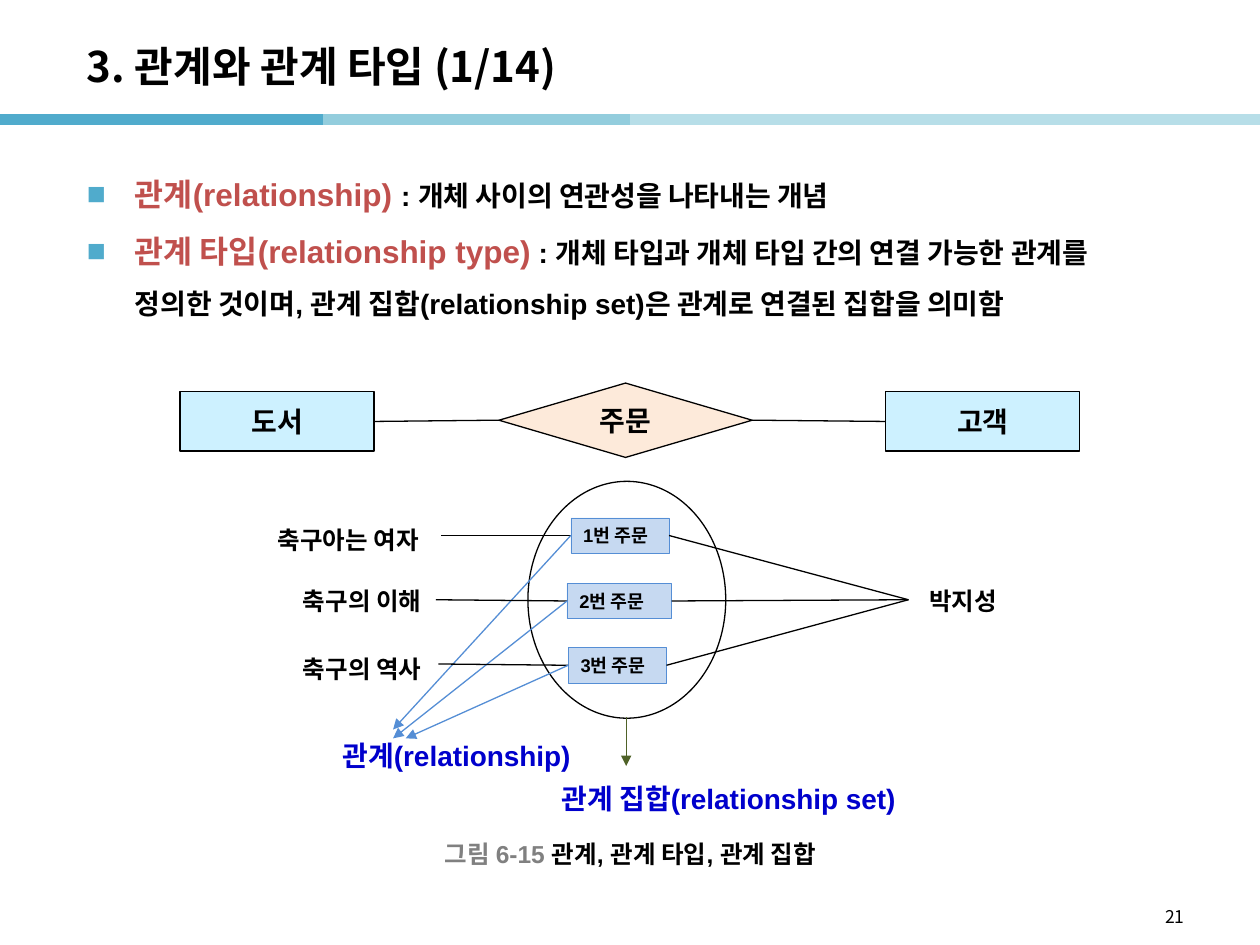
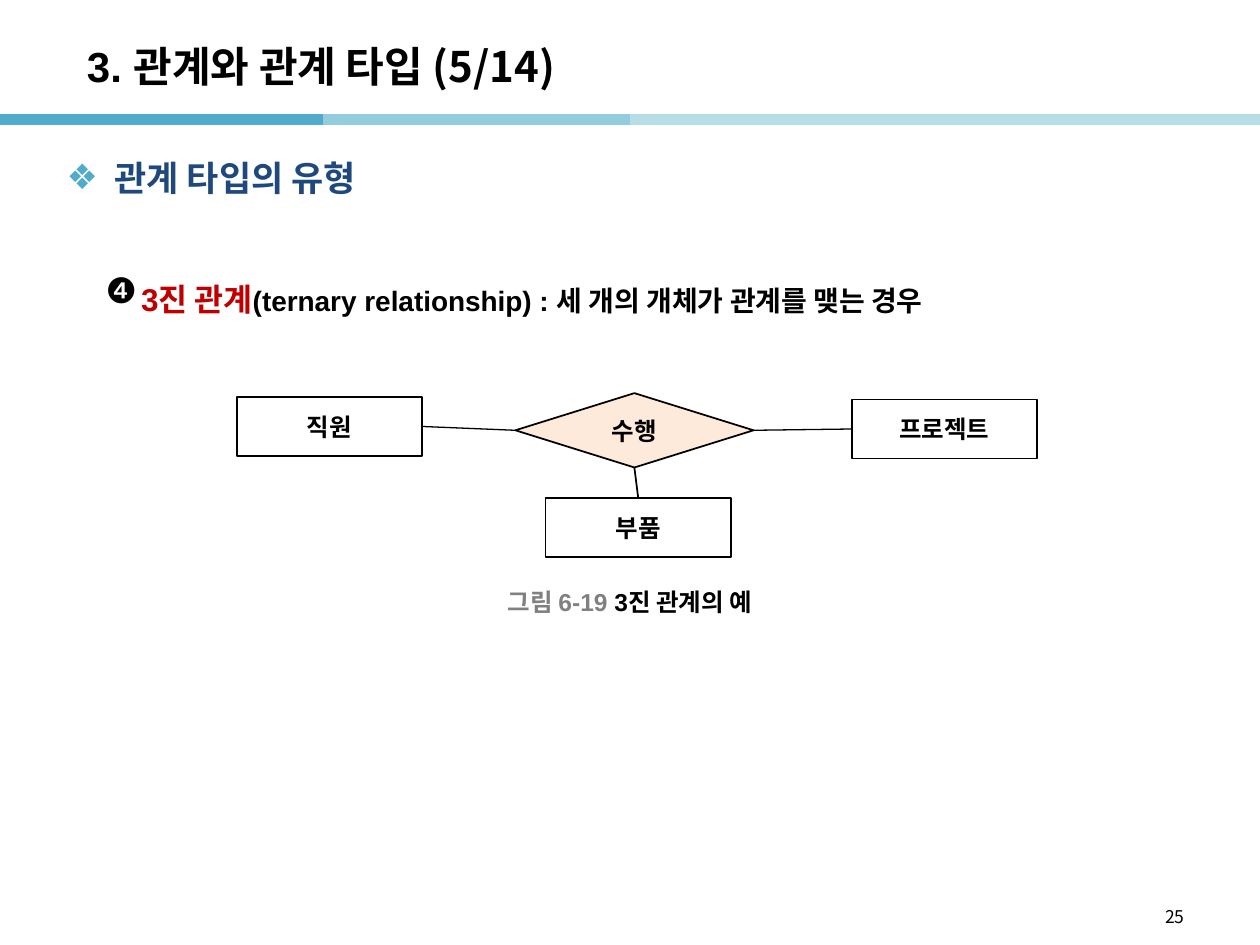
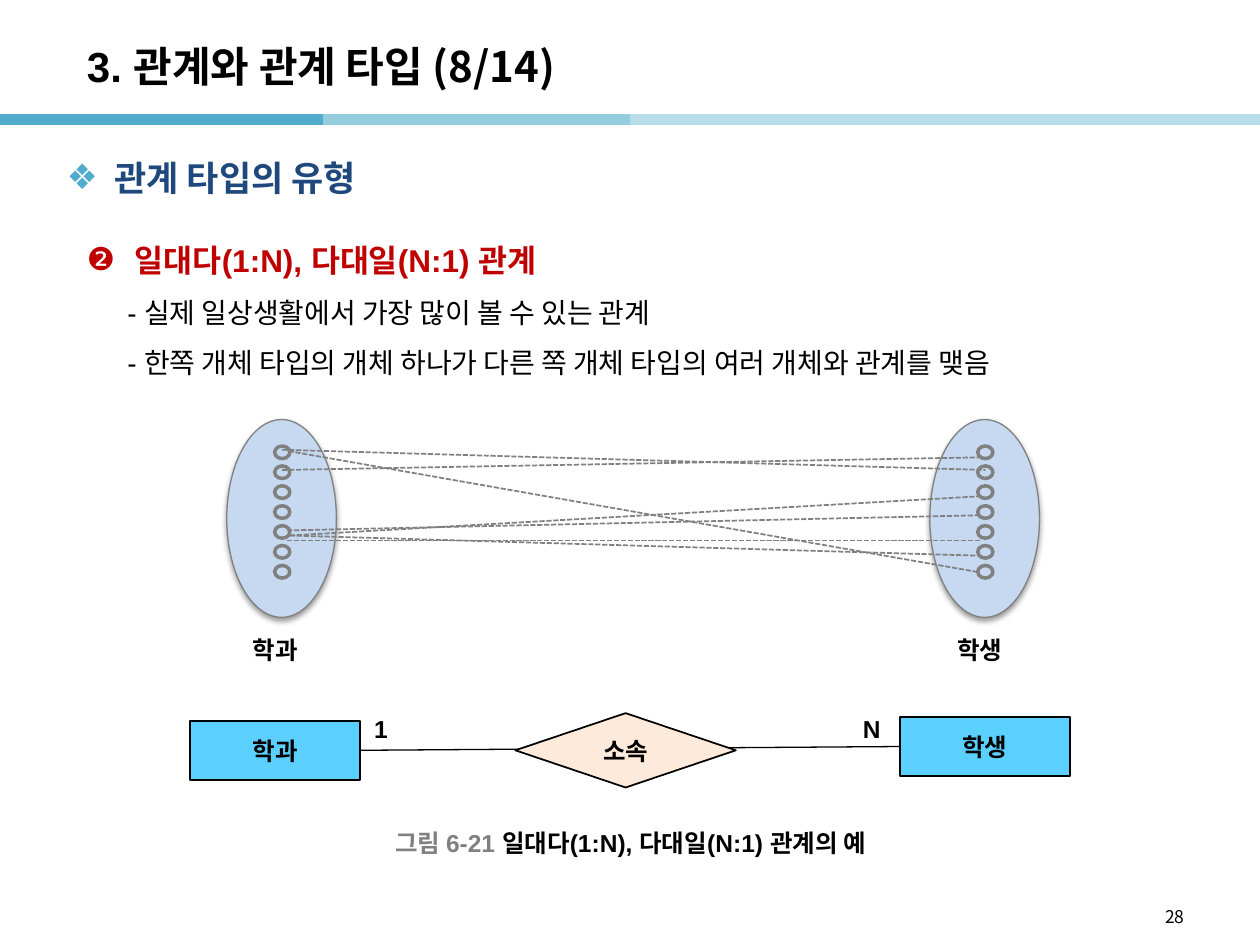
from lxml.etree import SubElement
from pptx import Presentation
from pptx.dml.color import RGBColor
from pptx.enum.dml import MSO_LINE
from pptx.enum.shapes import MSO_CONNECTOR, MSO_SHAPE
from pptx.enum.text import MSO_ANCHOR, MSO_AUTO_SIZE, PP_ALIGN
from pptx.oxml import parse_xml
from pptx.oxml.ns import nsdecls, qn
from pptx.util import Pt

COLORS = {
    "ink": "000000", "paper": "FFFFFF", "gray": "808080",
    "band_dark": "50ABCC", "band_mid": "93CDDD", "band_light": "B7DEE8",
    "term": "C0504D", "red": "C00000", "navy": "1F497D", "link": "0000CC",
    "relation": "FDEADA", "entity": "CDF1FF", "entity_deep": "5BD0FF",
    "set": "C6D9F1", "arrow": "558ED5", "olive": "4F6228",
}
BODY_FONT, TITLE_FONT = "Arial", "Noto Sans CJK KR"
COLUMNS, ROWS = 100, 75
TOP, LEFT, BOTTOM, RIGHT = range(4)
BANDS = [(0, 25.6, "band_dark"), (25.6, 51.2, "band_mid"),
         (50, 75.6, "band_light"), (74.4, 100, "band_light")]


def rgb(name):
    return RGBColor.from_string(COLORS[name])


def is_point(stop):
    return isinstance(stop[0], (int, float))


def set_font(font, name=None, size=None, color=None, bold=None):
    if name:
        font.name = name
    if size:
        font.size = Pt(size)
    if color:
        font.color.rgb = rgb(color)
    if bold is not None:
        font.bold = bold


class SlideBuilder:
    """Holds the deck, its style and the current page; lengths are grid cells."""

    def __init__(self):
        self.deck = Presentation()
        self.deck.slide_width, self.deck.slide_height = Pt(720), Pt(540)
        self.page = None

    def cells(self, *lengths):
        """Turn alternating columns and rows into slide lengths."""
        units = (self.deck.slide_width / COLUMNS, self.deck.slide_height / ROWS)
        return [round(length * units[i % 2]) for i, length in enumerate(lengths)]

    # Text
    def set_text(self, para, spans, name=BODY_FONT, size=14, color="ink", bold=True):
        """Each span is a string or a (string, font differences) pair."""
        set_font(para.font, name, size, color, bold)
        for item in [spans] if isinstance(spans, str) else spans:
            words, changes = (item, {}) if isinstance(item, str) else item
            span = para.add_run()
            span.text = words
            set_font(span.font, **changes)

    def frame(self, shape, wrap=False, anchor=MSO_ANCHOR.MIDDLE):
        frame = shape.text_frame
        frame.auto_size = MSO_AUTO_SIZE.NONE
        frame.word_wrap = wrap
        frame.vertical_anchor = anchor
        return frame

    def bullet(self, para, mark, color=None, margin=3.8, hanging=3.8):
        props = para._p.get_or_add_pPr()
        left, _, hang = self.cells(margin, 0, hanging)
        props.set("marL", str(left))
        props.set("indent", str(-hang))
        parts = []
        if color:
            parts.append(f'<a:buClr {nsdecls("a")}><a:srgbClr val="{COLORS[color]}"/></a:buClr>')
        if mark:
            parts.append(f'<a:buFont {nsdecls("a")} typeface="{BODY_FONT}"/>')
            parts.append(f'<a:buChar {nsdecls("a")} char="{mark}"/>')
        else:
            parts.append(f'<a:buNone {nsdecls("a")}/>')
        for part in parts:
            props.insert_element_before(parse_xml(part), "a:tabLst", "a:defRPr", "a:extLst")

    def place(self, shape, at):
        shape.left, shape.top, shape.width, shape.height = self.cells(*at)

    # Shared page parts
    def new_page(self, part, number, lead_font=BODY_FONT):
        self.page = self.deck.slides.add_slide(self.deck.slide_layouts[1])
        for start, end, color in BANDS:
            self.line((start, 9.5), (end, 9.5), color, 6)
        title = self.page.shapes.title
        self.place(title, (5.9, 2.2, 82.7, 6))
        para = self.frame(title, wrap=True).paragraphs[0]
        para.alignment = PP_ALIGN.LEFT
        heading = "3. 관계와 관계 타입"
        if lead_font != TITLE_FONT:
            spans = [(heading, {"name": lead_font}), f" ({part}/14)"]
        else:
            spans = f"{heading} ({part}/14)"
        self.set_text(para, spans, name=TITLE_FONT, size=24)
        self.label((71.7, 71.3, 23.3, 2.8), str(number), PP_ALIGN.RIGHT,
                   name=TITLE_FONT, size=10, bold=False)

    def body(self, at, rows):
        """Each row is (spans, bullet settings, font settings)."""
        holder = self.page.placeholders[1]
        self.place(holder, at)
        frame = self.frame(holder, wrap=True, anchor=MSO_ANCHOR.TOP)
        for i, (spans, mark, font) in enumerate(rows):
            para = frame.add_paragraph() if i else frame.paragraphs[0]
            para.line_spacing = 1.5
            para.space_before = Pt(0)
            self.set_text(para, spans, **font)
            self.bullet(para, **mark)

    def section(self, words):
        box = self.page.shapes.add_textbox(*self.cells(4.3, 11.9, 88.2, 6.2))
        para = self.frame(box, wrap=True, anchor=MSO_ANCHOR.TOP).paragraphs[0]
        self.set_text(para, words, size=20, color="navy")
        self.bullet(para, "❖", "band_dark")

    def caption(self, at, number, words):
        self.label(at, [(f"그림 {number} ", {"color": "gray"}), (words, {"color": "ink"})],
                   PP_ALIGN.CENTER)

    # Drawing
    def label(self, at, spans, align=PP_ALIGN.LEFT, **font):
        box = self.page.shapes.add_textbox(*self.cells(*at))
        para = self.frame(box).paragraphs[0]
        para.alignment = align
        self.set_text(para, spans, **font)

    def shape(self, kind, at, fill, edge="ink", weight=0.75, words="",
              align=PP_ALIGN.CENTER, **font):
        shape = self.page.shapes.add_shape(kind, *self.cells(*at))
        shape.shadow.inherit = False
        shape.fill.solid()
        shape.fill.fore_color.rgb = rgb(fill)
        if edge:
            shape.line.color.rgb = rgb(edge)
            shape.line.width = Pt(weight)
        else:
            shape.line.fill.background()
        if words:
            para = self.frame(shape).paragraphs[0]
            para.alignment = align
            self.set_text(para, words, **font)
        return shape

    def line(self, start, end, color="ink", weight=0.75, arrow=False, dash=None):
        """An end is a (column, row) point or a (shape, side) joint."""
        points = [stop if is_point(stop) else (0, 0) for stop in (start, end)]
        line = self.page.shapes.add_connector(
            MSO_CONNECTOR.STRAIGHT, *self.cells(*points[0], *points[1]))
        for stop, join in ((start, line.begin_connect), (end, line.end_connect)):
            if not is_point(stop):
                join(*stop)
        line.line.color.rgb = rgb(color)
        line.line.width = Pt(weight)
        if dash:
            line.line.dash_style = dash
        if arrow:
            SubElement(line.line._get_or_add_ln(), qn("a:tailEnd"), type="triangle")
        SubElement(line._element.spPr, qn("a:effectLst"))

    def soft_shadow(self, shape):
        effects = shape._element.spPr.find(qn("a:effectLst"))
        shadow = SubElement(effects, qn("a:outerShdw"), blurRad="40000", dist="20000",
                            dir="5400000", rotWithShape="0")
        color = SubElement(shadow, qn("a:srgbClr"), val=COLORS["ink"])
        SubElement(color, qn("a:alpha"), val="38000")


def relationship_page(show):
    show.new_page(1, 21, lead_font=TITLE_FONT)
    square = {"mark": "■", "color": "band_dark"}
    term = {"size": 18, "color": "term"}
    show.body((5.9, 11.9, 87.4, 14.4), [
        ([("관계(relationship) ", term), ": 개체 사이의 연관성을 나타내는 개념"],
         square, {"size": 16}),
        ([("관계 타입(relationship type)", term),
          " : 개체 타입과 개체 타입 간의 연결 가능한 관계를 정의한 것이며, "
          "관계 집합(relationship set)은 관계로 연결된 집합을 의미함"],
         square, {"size": 16}),
    ])

    # Entity types and their relationship type
    order_type = show.shape(MSO_SHAPE.DIAMOND, (39.6, 30.4, 20.1, 5.9), "relation",
                            words="주문", size=16)
    book, customer = [
        show.shape(MSO_SHAPE.RECTANGLE, (column, 31.1, 15.4, 4.7), "entity", words=words, size=16)
        for column, words in ((14.3, "도서"), (70.3, "고객"))]
    show.line((book, RIGHT), (order_type, LEFT))
    show.line((order_type, RIGHT), (customer, LEFT))

    # Entities and the set of orders
    for at, words in (((20.5, 46, 16.5, 3.4), "축구의 이해"),
                      ((20.4, 41.1, 14.5, 3.4), "축구아는 여자"),
                      ((20.5, 51.4, 16.5, 3.4), "축구의 역사"),
                      ((72.5, 46, 7.9, 3.4), "박지성")):
        show.shape(MSO_SHAPE.RECTANGLE, at, "paper", edge=None, words=words)
    show.shape(MSO_SHAPE.OVAL, (41.9, 38.2, 15.7, 18.8), "paper")
    orders = [((45.3, 41.1, 7.8, 2.8), (35, 42.5), (31.2, 57.9)),
              ((45, 46.3, 8.3, 2.8), (34.6, 47.6), (31.2, 58.6)),
              ((45.1, 51.4, 7.8, 2.8), (34.8, 52.7), (32.2, 58.6))]
    for number, (at, book_end, arrow_end) in enumerate(orders, 1):
        order = show.shape(MSO_SHAPE.RECTANGLE, at, "set", "arrow", 0.25,
                           f"{number}번 주문", PP_ALIGN.LEFT, size=10.5)
        show.line(book_end, (order, LEFT))
        show.line((order, RIGHT), (72.1, 47.6))
        show.line((order, LEFT), arrow_end, "arrow", arrow=True)
    show.line((49.7, 56.9), (49.7, 60.8), "olive", arrow=True)
    show.label((26.2, 58.1, 20.7, 3.7), "관계(relationship)", size=16, color="link")
    show.label((43.6, 61.5, 30.7, 3.7), "관계 집합(relationship set)", size=16, color="link")
    show.caption((39.8, 66.2, 20.5, 3.1), "6-15", "관계, 관계 타입, 관계 집합")


def ternary_page(show):
    show.new_page(5, 25)
    show.section("관계 타입의 유형")
    show.body((5.9, 20.2, 88.2, 5.6), [
        ([("3진 관계", {"size": 18, "color": "red"}),
          "(ternary relationship) : 세 개의 개체가 관계를 맺는 경우"],
         {"mark": None, "margin": 4.3, "hanging": 0}, {"size": 16}),
    ])
    show.label((7.4, 21.4, 4.7, 3.1), "❹", size=20, bold=False)

    # Three entity types around one relationship
    work = show.shape(MSO_SHAPE.FLOWCHART_DECISION, (40.9, 31.2, 18.9, 5.9), "relation",
                      weight=1, words="수행")
    for column, row, words, side, work_side, weight in (
            (18.8, 31.5, "직원", RIGHT, LEFT, 0.75),
            (67.6, 31.7, "프로젝트", LEFT, RIGHT, 0.75),
            (43.3, 39.5, "부품", TOP, BOTTOM, 1)):
        entity = show.shape(MSO_SHAPE.RECTANGLE, (column, row, 14.7, 4.7), "paper",
                            weight=1, words=words)
        show.line((work, work_side), (entity, side), weight=weight)
    show.caption((37, 46.2, 26, 3.1), "6-19", "3진 관계의 예")


def one_to_many_page(show):
    show.new_page(8, 28)
    show.section("관계 타입의 유형")
    plain = ({"mark": None, "margin": 3.2, "hanging": 0}, {"size": 16, "bold": False})
    show.body((5.9, 17.1, 88.2, 14.1), [
        ("일대다(1:N), 다대일(N:1) 관계", {"mark": "❷"}, {"size": 18, "color": "red"}),
        ("- 실제 일상생활에서 가장 많이 볼 수 있는 관계", *plain),
        ("- 한쪽 개체 타입의 개체 하나가 다른 쪽 개체 타입의 여러 개체와 관계를 맺음", *plain),
    ])

    # Two sets with seven members each
    for column, label_column, words in ((18, 19.1, "학과"), (73.8, 75, "학생")):
        oval = show.shape(MSO_SHAPE.OVAL, (column, 33.3, 8.7, 15.7), "set", "gray")
        show.soft_shadow(oval)
        for i in range(7):
            show.shape(MSO_SHAPE.FLOWCHART_CONNECTOR,
                       (column + 3.8, 35.4 + 1.58 * i, 1.2, 1), "set", "gray", 2)
        show.label((label_column, 49.9, 7.3, 3.4), words)
    for start, end in (((22.4, 37.3), (77.7, 36.3)), ((22.4, 35.7), (78.2, 37.3)),
                       ((22.9, 35.8), (77.6, 45.4)), ((23, 42.5), (77.6, 39.4)),
                       ((22.8, 42.1), (77.6, 40.9)), ((22.8, 42.9), (77.8, 42.9)),
                       ((23, 42.5), (77.6, 44.1))):
        show.line(start, end, "gray", 1, dash=MSO_LINE.SQUARE_DOT)

    # Entity types, relationship and cardinality
    department, student = [
        show.shape(MSO_SHAPE.RECTANGLE, (column, row, 13.5, 4.7), "entity_deep",
                   weight=1, words=words)
        for column, row, words in ((15.1, 57.2, "학과"), (71.4, 56.9, "학생"))]
    show.line((department, RIGHT), (student, LEFT))
    show.shape(MSO_SHAPE.FLOWCHART_DECISION, (40.9, 56.6, 17.5, 5.9), "relation",
               weight=1, words="소속")
    show.label((28.7, 56.1, 3.9, 3.4), "1")
    show.label((67.5, 56.1, 4.4, 3.4), "N")
    show.caption((39.8, 65.3, 20.5, 3.1), "6-21", "일대다(1:N), 다대일(N:1) 관계의 예")


def main():
    show = SlideBuilder()
    relationship_page(show)
    ternary_page(show)
    one_to_many_page(show)
    show.deck.save("out.pptx")


if __name__ == "__main__":
    main()
